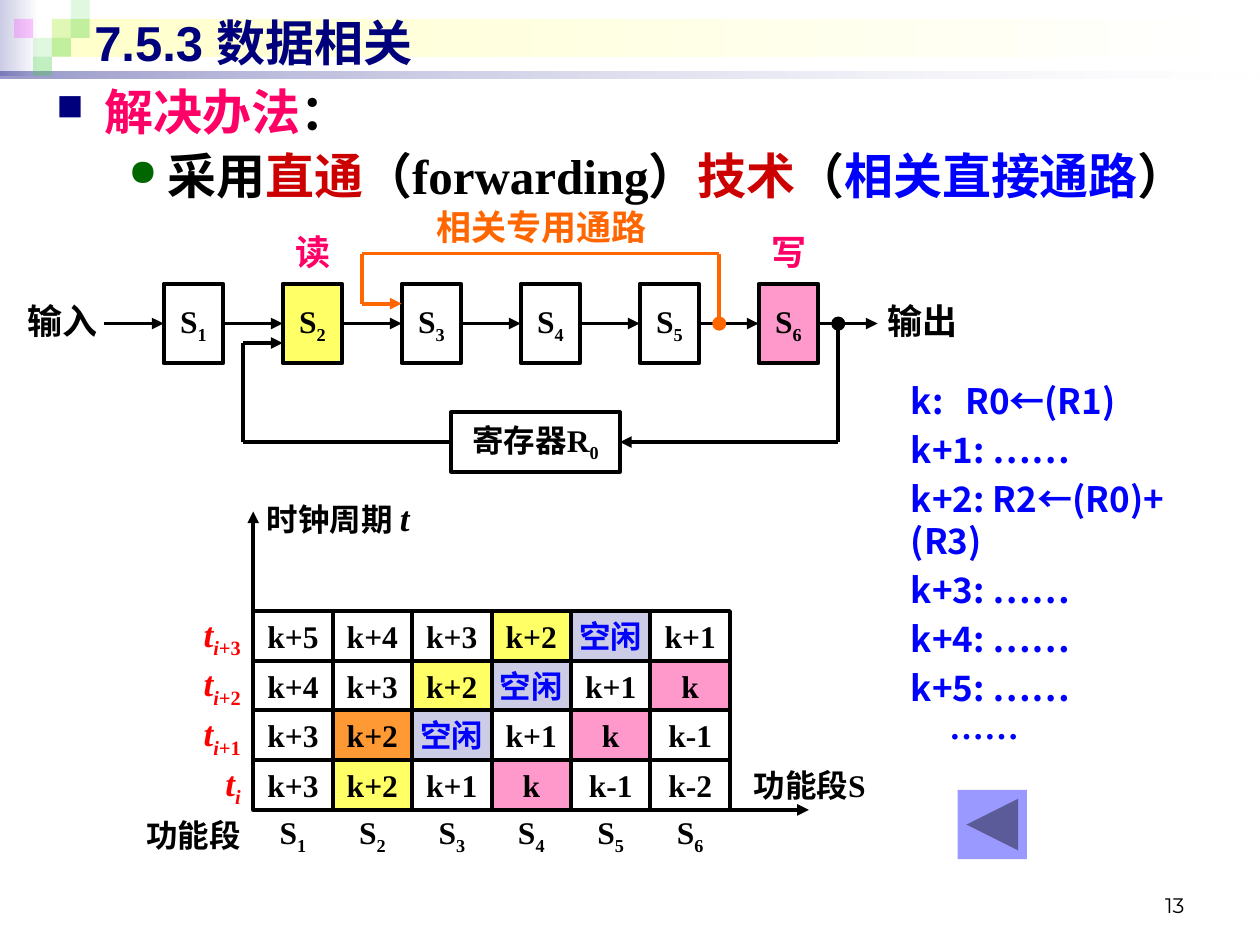
"""Build the slide on data dependence in a pipeline and its forwarding path."""
import itertools

import pptx
import pptx.dml.color
import pptx.enum.shapes
import pptx.enum.text
import pptx.oxml.ns
import pptx.util
from lxml import etree

Pt = pptx.util.Pt
RGB = pptx.dml.color.RGBColor
SHAPE = pptx.enum.shapes.MSO_SHAPE
ALIGN = pptx.enum.text.PP_ALIGN
ANCHOR = pptx.enum.text.MSO_ANCHOR
qn = pptx.oxml.ns.qn

BLACK, WHITE = RGB(0, 0, 0), RGB(0xFF, 0xFF, 0xFF)
NAVY, BLUE = RGB(0, 0, 0x7D), RGB(0, 0, 0xFF)
RED, DARK_RED = RGB(0xFF, 0, 0), RGB(0xCC, 0, 0)
ROSE, PINK = RGB(0xFF, 0, 0x66), RGB(0xFF, 0x99, 0xCC)
ORANGE, LIGHT_ORANGE = RGB(0xFF, 0x66, 0), RGB(0xFF, 0x99, 0x33)
YELLOW, CREAM = RGB(0xFF, 0xFF, 0x66), RGB(0xFF, 0xFF, 0xCC)
LAVENDER, PERIWINKLE = RGB(0xCC, 0xCC, 0xE6), RGB(0x99, 0x99, 0xFF)
GREEN, DARK_GREEN = RGB(0x33, 0xCC, 0x33), RGB(0, 0x66, 0)
MAGENTA = RGB(0xFF, 0, 0xFF)
SERIF, SANS, CJK = "Times New Roman", "Arial", "Noto Sans CJK SC"

BANDS = [
    ((0, 0, 22.3, 43.2), LAVENDER, None),
    ((29.5, 10.8, 687.6, 21.6), CREAM, None),
    ((0, 41, 720, 3.8), NAVY, (40, 10)),
]
TILE = 10.8
TILES = [(2.75, 1, GREEN, 15), (3.75, 0, GREEN, 15), (3.75, 1, GREEN, 30), (1.75, 2, GREEN, 15),
         (0.75, 1, MAGENTA, 20), (2.75, 2, GREEN, 30), (1.75, 3, GREEN, 30)]
BODY = [
    ("■", NAVY, 27.4, 27.4, [("解决办法", ROSE), ("：", BLACK)]),
    ("●", DARK_GREEN, 63.4, 22.3, [
        ("采用", BLACK), ("直通", DARK_RED), ("（forwarding）", BLACK), ("技术", DARK_RED),
        ("（", BLACK), ("相关直接通路", BLUE), ("）", BLACK)]),
]
PROGRAM = ["k:\tR0←(R1)", "k+1: ……", "k+2: R2←(R0)+(R3)", "k+3: ……", "k+4: ……", "k+5: ……", "……"]
LABELS = [
    ("输入", (8.6, 167.8, 67.7, 31), BLACK, ALIGN.LEFT),
    ("输出", (496, 167.8, 62.6, 31), BLACK, ALIGN.CENTER),
    ("相关专用通路", (207.4, 113.8, 204.5, 31), ORANGE, ALIGN.CENTER),
    ("读", (156.2, 128.2, 45.4, 31), ROSE, ALIGN.CENTER),
    ("写", (428.4, 128.2, 45.4, 31), ROSE, ALIGN.CENTER),
]
STAGE_FILLS = [None, YELLOW, None, None, None, PINK]
SCHEDULE = [
    ("3", ["k+5", "k+4", "k+3", "k+2", "空闲", "k+1"]),
    ("2", ["k+4", "k+3", "k+2", "空闲", "k+1", "k"]),
    ("1", ["k+3", "k+2", "空闲", "k+1", "k", "k-1"]),
    ("", ["k+3", "k+2", "k+1", "k", "k-1", "k-2"]),
]
CELL_FILLS = {"k": PINK, "k+2": YELLOW, "空闲": LAVENDER}
STALLED_CELL = (2, 1)

prs = pptx.Presentation()
prs.slide_width, prs.slide_height = Pt(720), Pt(540)
s = prs.slides.add_slide(prs.slide_layouts[6])


def add_run(p, text, size=18, color=BLACK, font=SERIF, bold=True, italic=False, base=None):
    r = p.add_run()
    r.text = text
    r.font.size, r.font.bold, r.font.italic = Pt(size), bold, italic
    r.font.color.rgb, r.font.name = color, font
    rPr = r.font._element
    etree.SubElement(rPr, qn("a:ea")).set("typeface", CJK)
    if base:
        rPr.set("baseline", str(base * 1000))


def set_alpha(sp, *percents):
    for clr, percent in zip(sp._element.spPr.iter(qn("a:srgbClr")), percents):
        etree.SubElement(clr, qn("a:alpha")).set("val", str(percent * 1000))


def add_box(at, fill=None, line=None, kind=SHAPE.RECTANGLE):
    sp = s.shapes.add_shape(kind, *map(Pt, at))
    sp.shadow.inherit = False
    if fill is None:
        sp.fill.background()
    else:
        sp.fill.solid()
        sp.fill.fore_color.rgb = fill
    if line is None:
        sp.line.fill.background()
    else:
        sp.line.color.rgb, sp.line.width = line, Pt(2.25)
    return sp


def add_text(at, wrap=True, anchor=ANCHOR.MIDDLE):
    tf = s.shapes.add_textbox(*map(Pt, at)).text_frame
    tf.word_wrap, tf.vertical_anchor = wrap, anchor
    return tf


def set_runs(tf, runs, align=ALIGN.CENTER):
    tf.word_wrap, tf.vertical_anchor = False, ANCHOR.MIDDLE
    p = tf.paragraphs[0]
    p.alignment = align
    for text, style in runs:
        add_run(p, text, **style)


def sub(name, digit):
    return [(name, {}), (digit, {"base": -25})]


def add_line(start, end, color=BLACK, arrow=False, begin=None, finish=None):
    c = s.shapes.add_connector(pptx.enum.shapes.MSO_CONNECTOR.STRAIGHT, *map(Pt, (*start, *end)))
    if begin:
        c.begin_connect(*begin)
    if finish:
        c.end_connect(*finish)
    c.line.color.rgb, c.line.width = color, Pt(2.25)
    if arrow:
        etree.SubElement(c.line._get_or_add_ln(), qn("a:tailEnd")).set("type", "triangle")
    etree.SubElement(c._element.spPr, qn("a:effectLst"))


def add_path(points, color=BLACK, begin=None, finish=None):
    last = len(points) - 2
    for i, (start, end) in enumerate(itertools.pairwise(points)):
        add_line(start, end, color, i == last, begin if i == 0 else None, finish if i == last else None)


for at, color, alphas in BANDS:
    sp = add_box(at)
    sp.fill.gradient()
    sp.fill.gradient_angle = 0
    for stop, stop_color in zip(sp.fill.gradient_stops, (color, WHITE)):
        stop.color.rgb = stop_color
    set_alpha(sp, *(alphas or ()))
for col, row, color, alpha in TILES:
    set_alpha(add_box((col * TILE, row * TILE, TILE, TILE), color), alpha)

p = add_text((516.2, 491.8, 167.8, 36), anchor=ANCHOR.BOTTOM).paragraphs[0]
p.alignment = ALIGN.RIGHT
add_run(p, "13", size=12, font="Montserrat", bold=False)
add_run(add_text((46.8, 3.6, 648, 41)).paragraphs[0], "7.5.3 数据相关", size=28, color=NAVY, font=SANS)

tf = add_text((25.2, 43.2, 686.2, 79.2), anchor=ANCHOR.TOP)
for i, (bullet, bullet_color, margin, hang, runs) in enumerate(BODY):
    p = tf.add_paragraph() if i else tf.paragraphs[0]
    p.level, p.line_spacing, p.space_before = i, Pt(33.7), Pt(2.8)
    pPr = p._p.get_or_add_pPr()
    pPr.set("marL", str(Pt(margin)))
    pPr.set("indent", str(-Pt(hang)))
    etree.SubElement(etree.SubElement(pPr, qn("a:buClr")), qn("a:srgbClr")).set("val", str(bullet_color))
    etree.SubElement(pPr, qn("a:buSzPct")).set("val", "75000")
    etree.SubElement(pPr, qn("a:buChar")).set("char", bullet)
    for text, color in runs:
        add_run(p, text, size=28, color=color)

tf = add_text((513.4, 213.1, 193, 209.5), anchor=ANCHOR.TOP)
for i, text in enumerate(PROGRAM):
    p = tf.add_paragraph() if i else tf.paragraphs[0]
    p.line_spacing, p.space_before = Pt(24), Pt(4)
    pPr = p._p.get_or_add_pPr()
    if "\t" in text:
        tab = etree.SubElement(etree.SubElement(pPr, qn("a:tabLst")), qn("a:tab"))
        tab.set("pos", str(Pt(31)))
        tab.set("algn", "l")
    if text == "……":
        pPr.set("marL", str(Pt(22)))
    add_run(p, text, size=20, color=BLUE, font=CJK)

STAGE_X, STAGE_Y, STAGE_W, STAGE_H = 93.5, 162.2, 34, 45.4
MID_Y, STEP = STAGE_Y + STAGE_H / 2, 2 * STAGE_W
stages = []
for i, fill in enumerate(STAGE_FILLS):
    x = STAGE_X + i * STEP
    stages.append(add_box((x, STAGE_Y, STAGE_W, STAGE_H), fill, BLACK))
    set_runs(stages[i].text_frame, sub("S", str(i + 1)))
    add_line((x - STAGE_W, MID_Y), (x, MID_Y), arrow=True,
             begin=(stages[i - 1], 3) if i else None, finish=(stages[i], 1))
out_x = STAGE_X + 6 * STEP
add_line((out_x - STAGE_W, MID_Y), (out_x, MID_Y), arrow=True, begin=(stages[-1], 3))

REG_X, REG_Y, REG_W, REG_H = 257.8, 235.6, 96.5, 34
REG_MID = REG_Y + REG_H / 2
register = add_box((REG_X, REG_Y, REG_W, REG_H), line=BLACK)
set_runs(register.text_frame, sub("寄存器R", "0"))
TAP_X, WRITE_X, READ_X = 411, 479, 139
S2_X, S3_X = STAGE_X + STEP, STAGE_X + 2 * STEP
add_path([(TAP_X, MID_Y), (TAP_X, 144.9), (207, 144.9), (207, 173.5), (S3_X, 173.5)], ORANGE)
add_path([(WRITE_X, MID_Y), (WRITE_X, REG_MID), (REG_X + REG_W, REG_MID)], finish=(register, 3))
add_path([(REG_X, REG_MID), (READ_X, REG_MID), (READ_X, 196), (S2_X, 196)], begin=(register, 1))
for x, color in ((TAP_X, ORANGE), (WRITE_X, BLACK)):
    add_box((x - 2.9, MID_Y - 2.9, 5.8, 5.8), color, color, SHAPE.OVAL)

for text, at, color, align in LABELS:
    tf = add_text(at)
    tf.paragraphs[0].alignment = align
    add_run(tf.paragraphs[0], text, size=20, color=color, font=SANS)

GRID_X, GRID_Y, CELL_W, CELL_H = 144.7, 349.2, 45.4, 28.4
GRID_BOTTOM = GRID_Y + len(SCHEDULE) * CELL_H
TIME = {"size": 20, "color": RED, "italic": True}
for row, (offset, values) in enumerate(SCHEDULE):
    y = GRID_Y + row * CELL_H
    runs = [("t", TIME), ("i+" if offset else "i", TIME | {"base": -25})]
    if offset:
        runs.append((offset, TIME | {"base": -25, "italic": False}))
    set_runs(add_text((54, y, GRID_X - 54, CELL_H)), runs, ALIGN.RIGHT)
    for col, value in enumerate(values):
        fill = LIGHT_ORANGE if (row, col) == STALLED_CELL else CELL_FILLS.get(value)
        sp = add_box((GRID_X + col * CELL_W, y, CELL_W, CELL_H), fill, BLACK)
        set_runs(sp.text_frame, [(value, {"color": BLUE if value == "空闲" else BLACK})])
for col in range(len(STAGE_FILLS)):
    set_runs(add_text((GRID_X + col * CELL_W, GRID_BOTTOM, CELL_W, CELL_H)), sub("S", str(col + 1)))
for end in ((GRID_X, 292.3), (462.2, GRID_BOTTOM)):
    add_line((GRID_X, GRID_BOTTOM), end, arrow=True)
for at, runs in [
    ((54, GRID_BOTTOM, GRID_X - 54, CELL_H), [("功能段", {})]),
    ((139, 281.5, 102.2, CELL_H), [("时钟周期 ", {}), ("t", {"size": 20, "italic": True})]),
    ((422.6, GRID_BOTTOM - CELL_H, 79.2, CELL_H), [("功能段S", {})]),
]:
    set_runs(add_text(at), runs, ALIGN.RIGHT)

add_box((547.2, 451.4, 39.6, 39.6), PERIWINKLE, kind=SHAPE.ACTION_BUTTON_BACK_OR_PREVIOUS)
prs.save("out.pptx")
